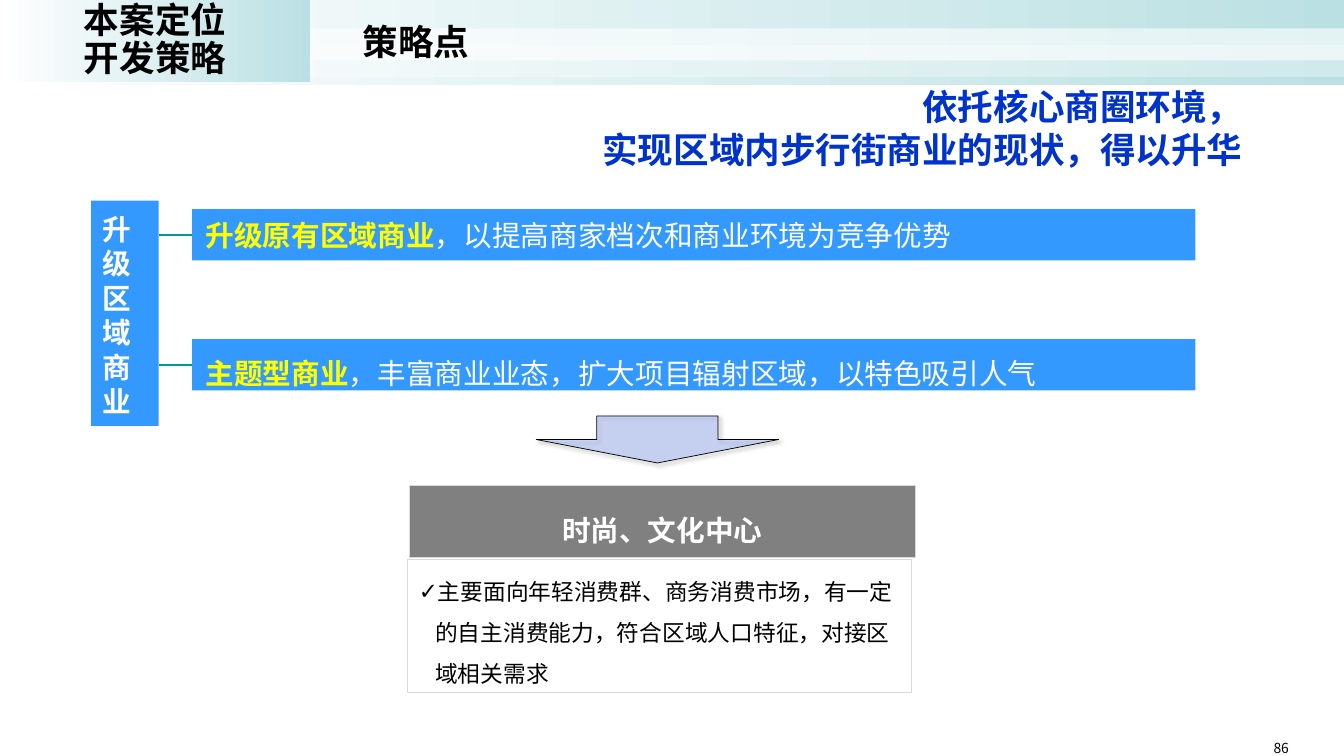
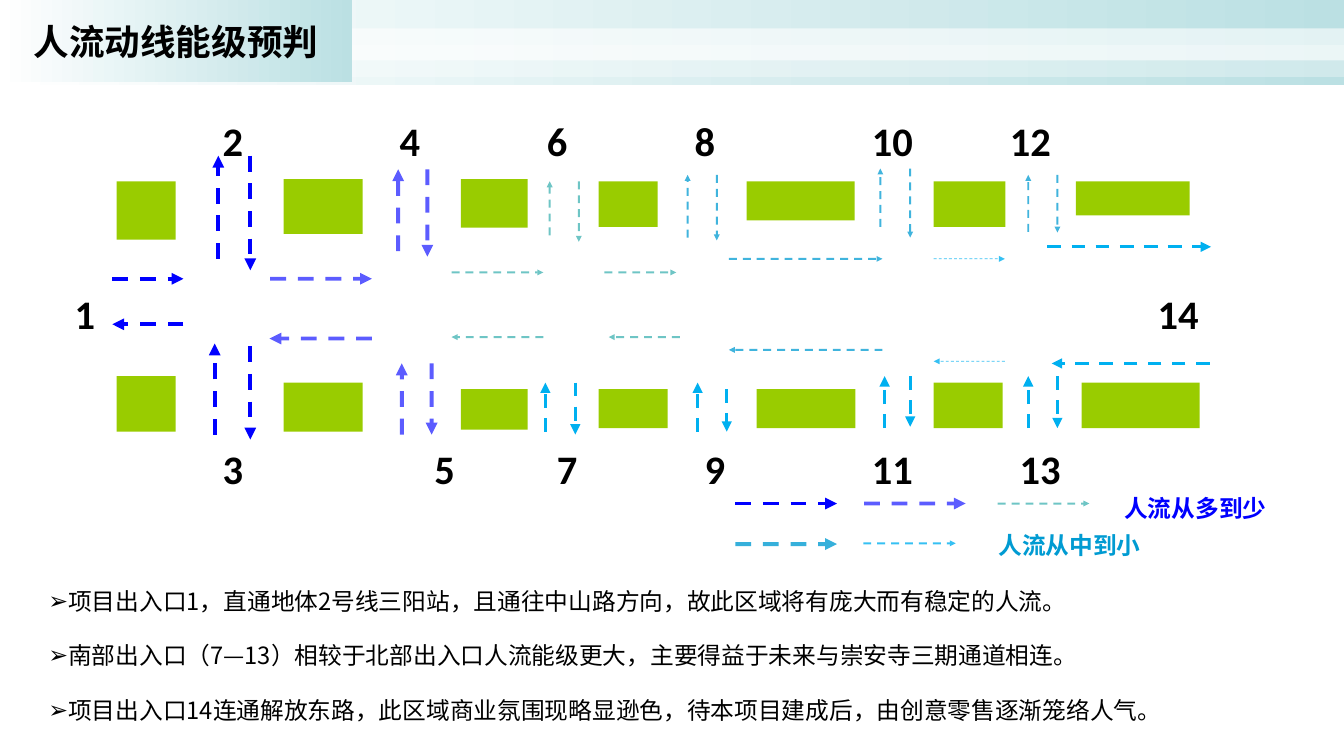
import pptx
import pptx.dml.color
import pptx.enum.dml
import pptx.enum.shapes
import pptx.enum.text
import pptx.util
from dataclasses import dataclass
from lxml import etree
from pptx.oxml import ns

ALIGN = pptx.enum.text.PP_ALIGN
ANCHOR = pptx.enum.text.MSO_ANCHOR
SHAPE = pptx.enum.shapes.MSO_SHAPE


@dataclass(frozen=True)
class Theme:
    font: str = "Noto Sans CJK SC"
    number_font: str = "Calibri"
    black: str = "000000"
    white: str = "FFFFFF"
    mint: str = "BBE0E3"
    blue: str = "3399FF"
    royal: str = "0033CC"
    yellow: str = "FFFF00"
    grey: str = "808080"
    border: str = "D9D9D9"
    teal: str = "009999"
    arrow: str = "2D5FFF"
    block: str = "99CC00"
    flow_high: str = "0000FF"
    flow_mid: str = "009BD2"
    flow_sky: str = "00B0F0"
    title_size: float = 36
    number_size: float = 41
    bar_size: float = 29
    list_size: float = 24
    small_list_size: float = 23
    page_size: float = 14


T = Theme()
INSETS = (0.16, 0.08, 0.16, 0.08)
DEFAULT_INSETS = (0.1, 0.05, 0.1, 0.05)

# name: colour, width, opacity in percent
FLOWS = {
    "heavy": (T.flow_high, 4, 100),
    "strong": (T.flow_high, 4, 63),
    "faint": (T.teal, 2, 56),
    "medium": (T.flow_mid, 2, 75),
    "sky": (T.flow_sky, 3.5, 100),
    "hair": (T.flow_sky, 0.75, 79),
    "key_mid": (T.flow_mid, 4, 79),
    "key_low": (T.flow_sky, 2, 79),
}

# flow: (y, from x, to x)
ACROSS = {
    "heavy": [(3.92, 1.58, 2.58), (4.56, 2.58, 1.58), (7.08, 10.34, 11.77)],
    "strong": [(3.92, 3.8, 5.23), (4.76, 5.23, 3.79), (7.08, 12.15, 13.58)],
    "faint": [(3.83, 6.35, 7.64), (3.83, 8.5, 9.51), (4.74, 7.64, 6.35),
              (4.74, 9.56, 8.56), (7.08, 14.03, 15.32)],
    "medium": [(3.64, 10.25, 12.41), (4.92, 12.41, 10.25)],
    "hair": [(3.64, 13.13, 14.13), (5.08, 14.13, 13.13)],
    "sky": [(3.47, 14.73, 17.03), (5.11, 17.01, 14.79)],
    "key_mid": [(7.65, 10.34, 11.77)],
    "key_low": [(7.64, 12.14, 13.44)],
}

# flow: (x, from y, to y)
UPRIGHT = {
    "heavy": [(3.07, 3.64, 2.19), (3.52, 2.19, 3.8), (3.02, 6.11, 4.83), (3.52, 4.87, 6.18)],
    "strong": [(5.6, 3.53, 2.38), (6.01, 2.38, 3.61), (5.65, 6.11, 5.11), (6.07, 5.11, 6.11)],
    "faint": [(7.73, 3.31, 2.55), (8.14, 2.55, 3.4)],
    "medium": [(9.67, 3.34, 2.46), (10.08, 2.46, 3.38), (12.38, 3.19, 2.37),
               (12.8, 2.37, 3.34), (14.46, 3.26, 2.46), (14.87, 2.46, 3.27)],
    "sky": [(7.67, 6.07, 5.38), (8.09, 5.38, 6.11), (9.81, 6.07, 5.38), (10.22, 5.47, 6.07),
            (12.44, 6.02, 5.29), (12.8, 5.29, 6), (14.46, 6.02, 5.29), (14.87, 5.29, 6.02)],
}

BLOCKS = [
    (1.64, 2.55, 0.83, 0.82), (3.99, 2.52, 1.11, 0.77), (6.48, 2.52, 0.94, 0.68),
    (8.42, 2.55, 0.83, 0.64), (10.5, 2.55, 1.52, 0.55), (13.13, 2.55, 1.01, 0.64),
    (15.13, 2.55, 1.6, 0.48),
    (1.64, 5.29, 0.83, 0.78), (3.99, 5.38, 1.11, 0.69), (6.48, 5.47, 0.94, 0.57),
    (8.42, 5.47, 0.97, 0.55), (10.64, 5.47, 1.39, 0.55), (13.13, 5.38, 0.97, 0.64),
    (15.21, 5.38, 1.66, 0.64),
]

# top of the row: gate number and left edge
GATES = {
    1.55: {2: 2.97, 4: 5.46, 6: 7.53, 8: 9.61, 10: 12.1, 12: 14.04},
    3.98: {1: 0.89, 14: 16.12},
    6.16: {3: 2.97, 5: 5.95, 7: 7.67, 9: 9.75, 11: 12.1, 13: 14.18},
}


def inches(values):
    return [pptx.util.Inches(v) for v in values]


def rgb(color):
    return pptx.dml.color.RGBColor.from_string(color)


def sub(parent, tag, **attrs):
    return etree.SubElement(parent, ns.qn(tag), attrs)


def set_opacity(parent, percent):
    """Add an alpha to the solid fill held by a spPr or ln element."""
    color = parent.find(ns.qn("a:solidFill"))[0]
    sub(color, "a:alpha", val=str(percent * 1000))


class Deck:
    def __init__(self):
        self.prs = pptx.Presentation()
        self.prs.slide_width, self.prs.slide_height = inches((18.9, 10.63))
        self.s = None

    def slide(self, title, width, spacing=1.0):
        first = self.s is None
        self.s = self.prs.slides.add_slide(self.prs.slide_layouts[1])
        if first:
            self.master_bands()
        sp = self.s.shapes.title
        self.place(sp, (0, 0, width, 1.15))
        self.gradient(sp)
        self.set_text(sp, title, T.title_size, bold=True, align=ALIGN.CENTER,
                      anchor=ANCHOR.MIDDLE, spacing=spacing, insets=DEFAULT_INSETS)

    def master_bands(self):
        """Draw the header bands and move them behind everything on the master."""
        base = self.rect((0, 0, 18.9, 1.19), T.white)
        self.gradient(base)
        bands = [base]
        for top, opacity in ((0.4, 60), (0.63, 31)):
            sp = self.rect((0, top, 18.9, 0.45), T.white)
            set_opacity(sp.element.spPr, opacity)
            bands.append(sp)
        tree = self.prs.slide_master.shapes.element
        for i, sp in enumerate(bands):
            sp.element.xpath(".//p:cNvPr")[0].set("id", str(101 + i))
            tree.insert(2 + i, sp.element)

    def place(self, sp, box):
        sp.left, sp.top, sp.width, sp.height = inches(box)

    def gradient(self, sp):
        sp.fill.gradient()
        sp.fill.gradient_angle = 0
        for stop, color in zip(sp.fill.gradient_stops, (T.white, T.mint)):
            stop.color.rgb = rgb(color)

    def style_run(self, r, size, color, bold, font=T.font):
        r.font.size, r.font.bold, r.font.name = pptx.util.Pt(size), bold, font
        r.font.color.rgb = rgb(color)
        sub(r.font._element, "a:ea", typeface=font)

    def set_text(self, sp, text, size, color=T.black, bold=False, align=ALIGN.LEFT,
                 anchor=ANCHOR.TOP, spacing=1.0, insets=INSETS, wrap=True, font=T.font,
                 bullet=None, hang=0, gap=0):
        tf = sp.text_frame
        tf.text = text
        tf.word_wrap, tf.vertical_anchor = wrap, anchor
        tf.auto_size = pptx.enum.text.MSO_AUTO_SIZE.NONE
        tf.margin_left, tf.margin_top, tf.margin_right, tf.margin_bottom = inches(insets)
        for i, p in enumerate(tf.paragraphs):
            p.alignment, p.line_spacing = align, spacing
            p.space_before = pptx.util.Pt(gap if i else 0)
            if bullet:
                pPr = p._p.get_or_add_pPr()
                pPr.set("marL", str(pptx.util.Inches(hang)))
                pPr.set("indent", str(-pptx.util.Inches(hang)))
                sub(pPr, "a:buChar", char=bullet)
            for r in p.runs:
                self.style_run(r, size, color, bold, font)

    def text(self, box, text, size, **style):
        sp = self.s.shapes.add_textbox(*inches(box))
        self.set_text(sp, text, size, **style)

    def bullets(self, box, items, size, **style):
        sp = self.s.placeholders[1]
        self.place(sp, box)
        self.set_text(sp, "\n".join(items), size, spacing=1.5, **style)
        return sp

    def border(self, sp, color, width):
        sp.line.color.rgb = rgb(color)
        sp.line.width = pptx.util.Pt(width)

    def rect(self, box, color, shape=SHAPE.RECTANGLE):
        sp = self.s.shapes.add_shape(shape, *inches(box))
        sp.shadow.inherit = False
        sp.fill.solid()
        sp.fill.fore_color.rgb = rgb(color)
        sp.line.fill.background()
        return sp

    def bar(self, top, lead, rest, spacing):
        """A blue bar with a highlighted lead, joined to the side label."""
        sp = self.rect((2.7, top, 14.11, 0.72), T.blue)
        self.set_text(sp, lead, T.bar_size, T.yellow, True, anchor=ANCHOR.MIDDLE,
                      spacing=spacing, insets=(0.19, 0, 0, 0))
        r = sp.text_frame.paragraphs[0].add_run()
        r.text = rest
        self.style_run(r, T.bar_size, T.white, False)
        middle = top + 0.36
        c = self.line((2.23, middle), (2.7, middle), T.teal, 1.75)
        c.end_connect(sp, 1)

    def line(self, start, end, color, width):
        c = self.s.shapes.add_connector(pptx.enum.shapes.MSO_CONNECTOR.STRAIGHT,
                                        *inches(start + end))
        self.border(c, color, width)
        sub(c.element.spPr, "a:effectLst")
        return c

    def flow(self, name, start, end):
        color, width, opacity = FLOWS[name]
        c = self.line(start, end, color, width)
        c.line.dash_style = pptx.enum.dml.MSO_LINE.DASH
        ln = c.element.spPr.find(ns.qn("a:ln"))
        if opacity < 100:
            set_opacity(ln, opacity)
        sub(ln, "a:tailEnd", type="triangle")

    def down_arrow(self, box):
        sp = self.rect(box, T.arrow, SHAPE.DOWN_ARROW)
        self.border(sp, T.black, 0)
        spPr = sp.element.spPr
        set_opacity(spPr, 20)
        shadow = sub(spPr.find(ns.qn("a:effectLst")), "a:outerShdw",
                     blurRad=str(pptx.util.Pt(4)), dist=str(pptx.util.Pt(3)),
                     dir=str(45 * 60000), algn="tl", rotWithShape="0")
        sub(sub(shadow, "a:srgbClr", val=T.black), "a:alpha", val="40000")


def strategy_slide(d):
    d.slide("本案定位\n开发策略", 4.36, spacing=0.9)
    d.text((5, 0.23, 1.7, 0.7), "策略点", T.title_size, bold=True, align=ALIGN.RIGHT,
           insets=DEFAULT_INSETS, wrap=False)
    d.text((8.37, 1.15, 9.2, 1.3), "依托核心商圈环境，\n实现区域内步行街商业的现状，得以升华",
           T.title_size, color=T.royal, bold=True, align=ALIGN.RIGHT,
           insets=DEFAULT_INSETS, wrap=False)

    side = d.rect((1.28, 2.82, 0.95, 3.17), T.blue)
    d.set_text(side, "升级区域商业", T.bar_size, T.white, True, insets=(0.16, 0.16, 0.43, 0))
    d.bar(2.94, "升级原有区域商业", "，以提高商家档次和商业环境为竞争优势", 1.0)
    d.bar(4.77, "主题型商业", "，丰富商业业态，扩大项目辐射区域，以特色吸引人气", 1.5)
    d.down_arrow((7.54, 5.85, 3.41, 0.66))

    head = d.rect((5.76, 6.82, 7.11, 1.02), T.grey)
    d.border(head, T.border, 0.75)
    d.set_text(head, "时尚、文化中心", T.bar_size, T.white, True, align=ALIGN.CENTER,
               anchor=ANCHOR.MIDDLE, spacing=1.5)
    body = d.bullets((5.73, 7.87, 7.09, 1.86),
                     ["主要面向年轻消费群、商务消费市场，有一定的自主消费能力，符合区域人口特征，对接区域相关需求"],
                     T.small_list_size, anchor=ANCHOR.MIDDLE, bullet="✓", hang=0.23)
    body.fill.solid()
    body.fill.fore_color.rgb = rgb(T.white)
    d.border(body, T.border, 0.75)
    d.text((17.91, 10.4, 0.34, 0.23), "86", T.page_size, insets=(0, 0, 0, 0), wrap=False)


def flow_slide(d):
    d.slide("人流动线能级预判", 4.95)
    for box in BLOCKS:
        d.rect(box, T.block)
    for name, arrows in ACROSS.items():
        for y, x1, x2 in arrows:
            d.flow(name, (x1, y), (x2, y))
    for name, arrows in UPRIGHT.items():
        for x, y1, y2 in arrows:
            d.flow(name, (x, y1), (x, y2))
    for top, gates in GATES.items():
        for number, left in gates.items():
            width = 0.97 if number < 10 else 1.25
            d.text((left, top, width, 0.66), str(number), T.number_size, bold=True,
                   font=T.number_font)
    d.text((15.65, 6.87, 3.2, 0.48), "人流从多到少", T.list_size, color=T.flow_high, bold=True)
    d.text((13.88, 7.38, 3.2, 0.48), "人流从中到小", T.list_size, color=T.flow_mid, bold=True)
    d.bullets((0.52, 7.97, 17.86, 2.39), [
        "项目出入口1，直通地体2号线三阳站，且通往中山路方向，故此区域将有庞大而有稳定的人流。",
        "南部出入口（7—13）相较于北部出入口人流能级更大，主要得益于未来与崇安寺三期通道相连。",
        "项目出入口14连通解放东路，此区域商业氛围现略显逊色，待本项目建成后，由创意零售逐渐笼络人气。",
    ], T.list_size, bullet="➢", hang=0.25, gap=12)


def main():
    d = Deck()
    strategy_slide(d)
    flow_slide(d)
    d.prs.save("out.pptx")


if __name__ == "__main__":
    main()
